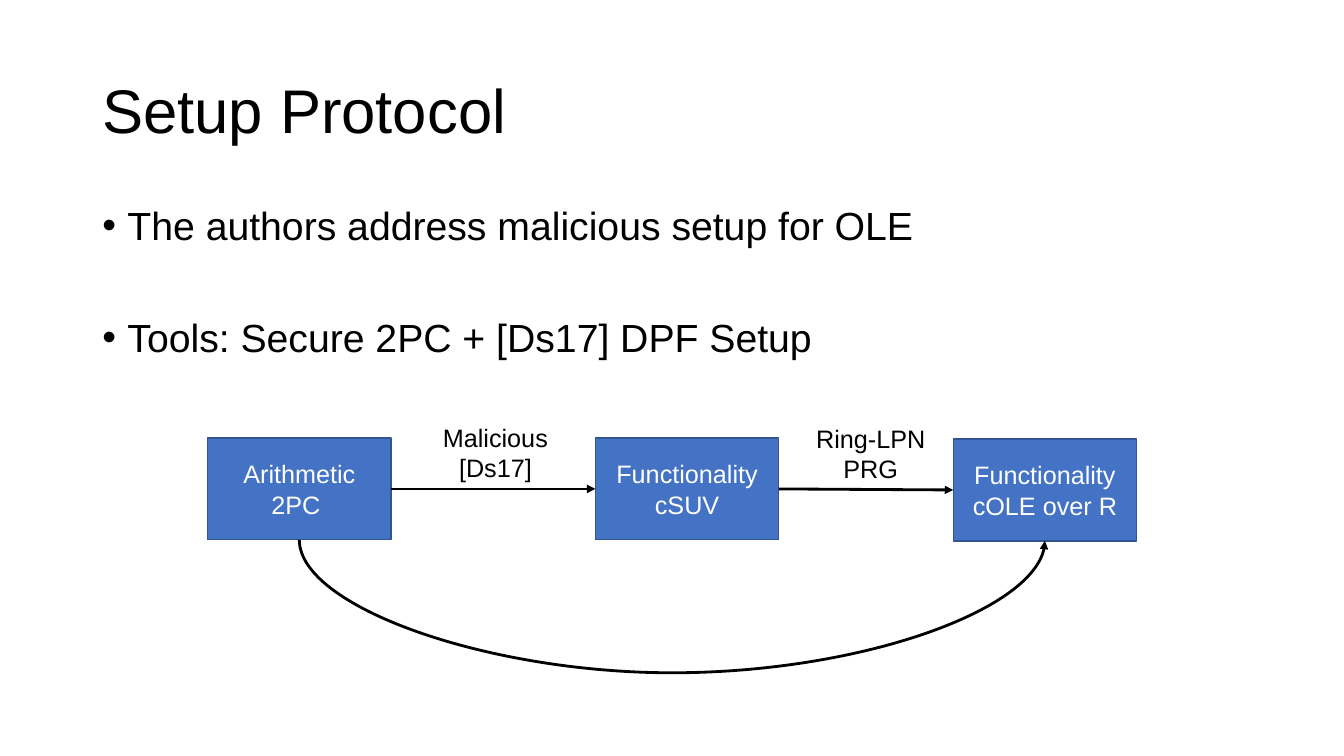
from lxml import etree
from pptx import Presentation
from pptx.dml.color import RGBColor
from pptx.enum.shapes import MSO_CONNECTOR, MSO_SHAPE
from pptx.enum.text import MSO_ANCHOR, PP_ALIGN
from pptx.oxml.ns import qn
from pptx.util import Pt

STRAIGHT, CURVE = MSO_CONNECTOR.STRAIGHT, MSO_CONNECTOR.CURVE
RECTANGLE = MSO_SHAPE.RECTANGLE
TOP, MIDDLE = MSO_ANCHOR.TOP, MSO_ANCHOR.MIDDLE
LEFT, CENTER = PP_ALIGN.LEFT, PP_ALIGN.CENTER
SIDE_LEFT, SIDE_BOTTOM, SIDE_RIGHT = 1, 2, 3

TITLE = "Setup Protocol"
BULLETS = ["The authors address malicious setup for OLE",
           "Tools: Secure 2PC + [Ds17] DPF Setup"]
# text, left, top
STAGES = [("Arithmetic 2PC ", 148.32, 312.9),
          ("Functionality\ncSUV", 425.3, 312.9),
          ("Functionality\ncOLE over R", 680.9, 313.62)]
# text, left, top, width
STEPS = [("Malicious\n[Ds17]", 308.9, 298.2, 90),
         ("Ring-LPN\nPRG", 575.2, 298.9, 93.6)]

STAGE_W, STAGE_H = 131, 72.7
ARC_DEPTH = 96.5
THEME = {
    "font": "Arial", "title": 44, "body": 28, "label": 18,
    "ink": RGBColor(0, 0, 0), "on_box": RGBColor(255, 255, 255),
    "box": RGBColor(0x44, 0x72, 0xC4), "border": RGBColor(0x32, 0x54, 0x91),
}


def write(shape, text, size, color, align=LEFT, anchor=TOP, wrap=True):
    frame = shape.text_frame
    frame.word_wrap = wrap
    frame.vertical_anchor = anchor
    frame.text = text
    for paragraph in frame.paragraphs:
        paragraph.alignment = align
        for run in paragraph.runs:
            run.font.name = THEME["font"]
            run.font.size = Pt(size)
            run.font.color.rgb = color
    return frame.paragraphs


def add_text(slide, left, top, width, height, *args, **options):
    box = slide.shapes.add_textbox(Pt(left), Pt(top), Pt(width), Pt(height))
    return write(box, *args, **options)


def add_bullet(paragraph):
    props = paragraph._p.get_or_add_pPr()
    props.set("marL", str(Pt(18)))
    props.set("indent", str(-Pt(18)))
    etree.SubElement(props, qn("a:buFont")).set("typeface", THEME["font"])
    etree.SubElement(props, qn("a:buChar")).set("char", "•")


def add_stage(slide, text, left, top):
    stage = slide.shapes.add_shape(RECTANGLE, Pt(left), Pt(top), Pt(STAGE_W), Pt(STAGE_H))
    stage.shadow.inherit = False
    stage.fill.solid()
    stage.fill.fore_color.rgb = THEME["box"]
    stage.line.color.rgb = THEME["border"]
    stage.line.width = Pt(1)
    write(stage, text, THEME["label"], THEME["on_box"], CENTER, MIDDLE)
    return stage


def add_arrow(slide, kind, source, source_side, target, target_side):
    arrow = slide.shapes.add_connector(kind, 0, 0, 0, 0)
    arrow.begin_connect(source, source_side)
    arrow.end_connect(target, target_side)
    arrow.line.color.rgb = THEME["ink"]
    arrow.line.width = Pt(2)
    etree.SubElement(arrow.line._get_or_add_ln(), qn("a:tailEnd")).set("type", "triangle")
    etree.SubElement(arrow._element.spPr, qn("a:effectLst"))
    return arrow


def bend_below(arrow, depth):
    """Turn a curved arrow a quarter so that it hangs below its two ends."""
    span, rise = arrow.width, arrow.height
    center_x, center_y = arrow.left + span // 2, arrow.top + rise // 2
    arrow.left, arrow.top = center_x - rise // 2, center_y - span // 2
    arrow.width, arrow.height = rise, span
    frame = arrow._element.spPr.find(qn("a:xfrm"))
    frame.set("rot", str(270 * 60000))
    frame.set("flipH", "1")
    geometry = arrow._element.spPr.find(qn("a:prstGeom"))
    adjustments = geometry.find(qn("a:avLst"))
    if adjustments is None:
        adjustments = etree.SubElement(geometry, qn("a:avLst"))
    guide = etree.SubElement(adjustments, qn("a:gd"))
    guide.set("name", "adj1")
    guide.set("fmla", f"val {round(Pt(depth) / rise * 100000)}")


def main():
    deck = Presentation()
    deck.slide_width, deck.slide_height = Pt(960), Pt(540)
    slide = deck.slides.add_slide(deck.slide_layouts[6])

    title = add_text(slide, 66, 28.75, 828, 104.4, TITLE, THEME["title"],
                     THEME["ink"], anchor=MIDDLE)
    title[0].line_spacing = 0.9
    bullets = add_text(slide, 66, 143.75, 828, 142, "\n".join(BULLETS),
                       THEME["body"], THEME["ink"])
    for paragraph, gap in zip(bullets, (10, 50)):
        paragraph.line_spacing = 0.9
        paragraph.space_before = Pt(gap)
        add_bullet(paragraph)

    stages = [add_stage(slide, *stage) for stage in STAGES]
    for source, target in zip(stages, stages[1:]):
        add_arrow(slide, STRAIGHT, source, SIDE_RIGHT, target, SIDE_LEFT)
    shortcut = add_arrow(slide, CURVE, stages[0], SIDE_BOTTOM, stages[-1], SIDE_BOTTOM)
    bend_below(shortcut, ARC_DEPTH)

    for text, left, top, width in STEPS:
        add_text(slide, left, top, width, 50.9, text, THEME["label"],
                 THEME["ink"], CENTER, wrap=False)

    deck.save("out.pptx")


if __name__ == "__main__":
    main()
